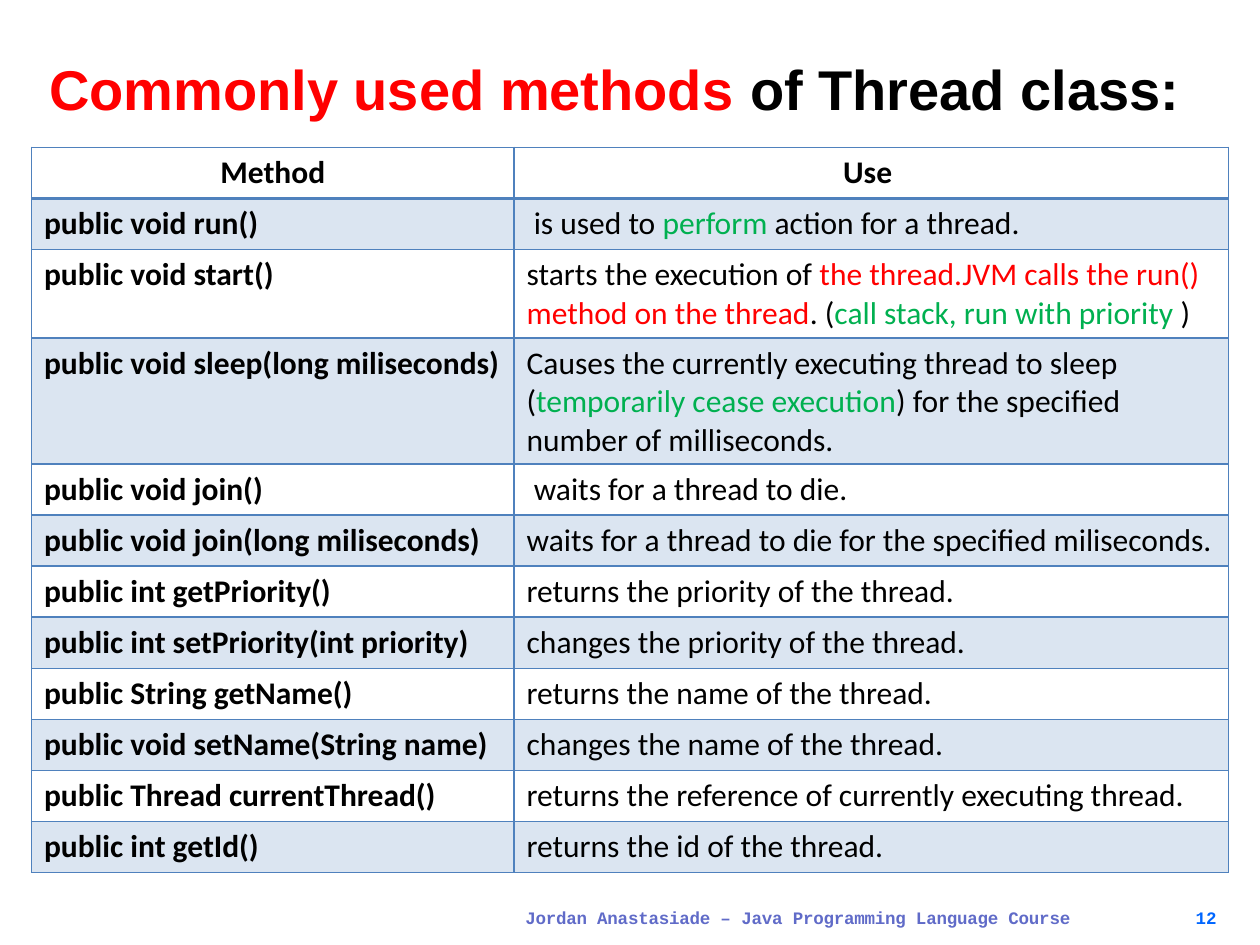
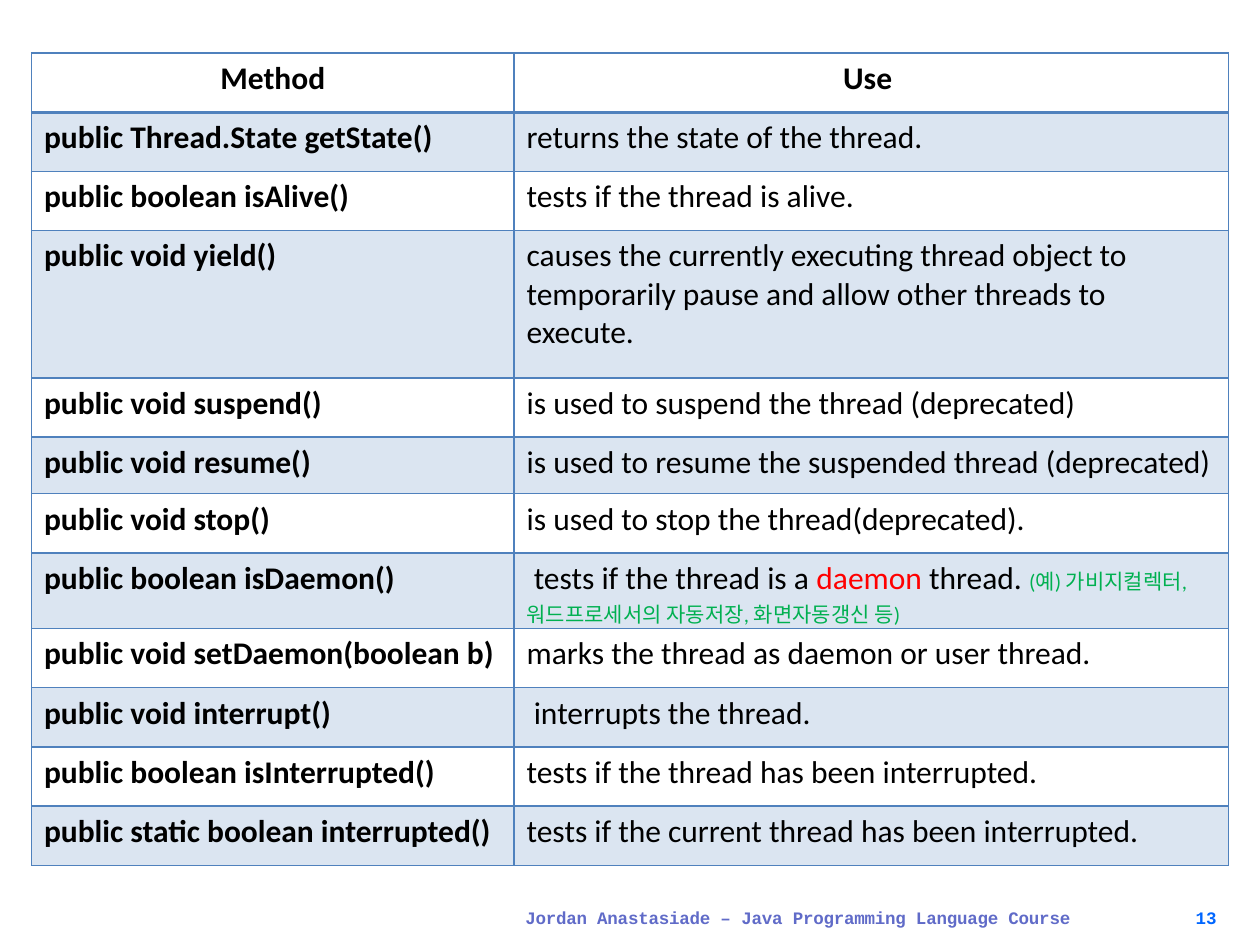
import pptx
import pptx.dml.color
import pptx.enum.text
import pptx.oxml
import pptx.oxml.ns
import pptx.util
from dataclasses import dataclass
from typing import Sequence

Inches = pptx.util.Inches
Pt = pptx.util.Pt

BLACK = "000000"
RED = "FF0000"
GREEN = "00B050"
TABLE_BLUE = "4F81BD"
FOOTER_PURPLE = "606BC8"
NUMBER_BLUE = "0066FF"
BAND_ALPHA = 20000
COLUMN_WIDTHS = (3.83, 5.67)
TABLE_LEFT = 0.25


@dataclass(frozen=True)
class Span:
    text: str
    color: str = BLACK
    size: float = 18
    bold: bool = False
    font: str = "Calibri"
    spacing: float = 0


@dataclass(frozen=True)
class Method:
    signature: str
    use: tuple[Span, ...]


@dataclass(frozen=True)
class MethodTable:
    top: float
    row_heights: Sequence[float]
    methods: Sequence[Method]


def method(signature: str, *use: str | Span) -> Method:
    spans = tuple(Span(part) if isinstance(part, str) else part for part in use)
    return Method(signature, spans)


def rgb(color: str) -> pptx.dml.color.RGBColor:
    return pptx.dml.color.RGBColor.from_string(color)


def write(paragraph, spans: Sequence[Span]) -> None:
    for span in spans:
        run = paragraph.add_run()
        run.text = span.text
        run.font.name = span.font
        run.font.size = Pt(span.size)
        run.font.bold = span.bold
        run.font.color.rgb = rgb(span.color)
        if span.spacing:
            run._r.get_or_add_rPr().set("spc", str(round(span.spacing * 100)))


def add_text(slide, left: float, top: float, width: float, height: float,
             spans: Sequence[Span], inset_left: float = 0, inset_top: float = 0):
    frame = slide.shapes.add_textbox(
        Inches(left), Inches(top), Inches(width), Inches(height)).text_frame
    frame.word_wrap = True
    frame.margin_left, frame.margin_top = Inches(inset_left), Inches(inset_top)
    frame.margin_right = frame.margin_bottom = 0
    paragraph = frame.paragraphs[0]
    write(paragraph, spans)
    return paragraph


def add_title(slide, spans: Sequence[Span]) -> None:
    add_text(slide, 0.39, 0.42, 9.36, 0.55, spans, inset_top=0.01)


def add_footer(slide, number: int) -> None:
    def footer_span(text: str, color: str = FOOTER_PURPLE, spacing: float = 0) -> Span:
        return Span(text, color, 10, True, "Courier New", spacing)

    credit = (
        footer_span("Jordan Anastasiade ", spacing=-0.1),
        footer_span("– "),
        footer_span("Java Programming Language Course", spacing=-0.1),
    )
    page = (footer_span(str(number), NUMBER_BLUE),)
    for left, width, spans, inset in ((4.16, 4.44, credit, 0.01), (9.46, 0.22, page, 0.03)):
        paragraph = add_text(slide, left, 7.21, width, 0.19, spans, inset_left=inset)
        paragraph.line_spacing = Pt(11.3)


def set_borders(cell, widths: dict[str, float]) -> None:
    namespace = pptx.oxml.ns.nsdecls("a")
    properties = cell._tc.get_or_add_tcPr()
    for position, (side, width) in enumerate(widths.items()):
        properties.insert(position, pptx.oxml.parse_xml(
            f'<a:ln{side} {namespace} w="{Pt(width)}"><a:solidFill>'
            f'<a:srgbClr val="{TABLE_BLUE}"/></a:solidFill></a:ln{side}>'))


def set_fill(cell, banded: bool) -> None:
    if not banded:
        cell.fill.background()
        return
    cell.fill.solid()
    cell.fill.fore_color.rgb = rgb(TABLE_BLUE)
    color = cell._tc.tcPr.find(".//" + pptx.oxml.ns.qn("a:solidFill"))[0]
    color.append(pptx.oxml.parse_xml(
        f'<a:alpha {pptx.oxml.ns.nsdecls("a")} val="{BAND_ALPHA}"/>'))


def add_method_table(slide, content: MethodTable) -> None:
    rows = [(Span("Method", bold=True),), (Span("Use ", bold=True),)], *(
        [(Span(entry.signature, bold=True),), entry.use] for entry in content.methods)
    table = slide.shapes.add_table(
        len(rows), len(COLUMN_WIDTHS), Inches(TABLE_LEFT), Inches(content.top),
        Inches(sum(COLUMN_WIDTHS)), Inches(sum(content.row_heights))).table
    table.horz_banding = False
    for column, width in zip(table.columns, COLUMN_WIDTHS):
        column.width = Inches(width)
    for row_index, (row, height) in enumerate(zip(rows, content.row_heights)):
        table.rows[row_index].height = Inches(height)
        for column_index, spans in enumerate(row):
            cell = table.cell(row_index, column_index)
            paragraph = cell.text_frame.paragraphs[0]
            write(paragraph, spans)
            if row_index == 0:
                paragraph.alignment = pptx.enum.text.PP_ALIGN.CENTER
            set_fill(cell, row_index % 2 == 1)
            set_borders(cell, {"L": 1, "R": 1, "T": 2 if row_index == 1 else 1,
                               "B": 2 if row_index == 0 else 1})


COMMON_METHODS = MethodTable(1.17, [4.87 / 12] * 12, (
    method("public void run()", "\u00a0is used to ", Span("perform", GREEN),
           " action for a thread."),
    method("public void start()", "starts the execution of ",
           Span("the thread.JVM calls the run() method on the thread", RED),
           ". (", Span("call stack, run with priority ", GREEN), ")"),
    method("public void sleep(long miliseconds)",
           "Causes the currently executing thread to sleep (",
           Span("temporarily cease execution", GREEN),
           ") for the specified number of milliseconds."),
    method("public void join()", "\u00a0waits for a thread to die."),
    method("public void join(long miliseconds)",
           "waits for a thread to die for the specified miliseconds."),
    method("public int getPriority()", "returns the priority of the thread."),
    method("public int setPriority(int priority)", "changes the priority of the thread."),
    method("public String getName()", "returns the name of the thread."),
    method("public void setName(String name)", "changes the name of the thread."),
    method("public Thread currentThread()",
           "returns the reference of currently executing thread."),
    method("public int getId()", "returns the id of the thread."),
))

STATE_METHODS = MethodTable(0.42, [0.47] * 3 + [1.17, 0.47, 0.45] + [0.47] * 6, (
    method("public Thread.State getState()", "returns the state of the thread."),
    method("public boolean isAlive()", "tests if the thread is alive."),
    method("public void yield()",
           "causes the currently executing thread object to temporarily pause "
           "and allow other threads to execute."),
    method("public void suspend()", "is used to suspend the thread (deprecated)"),
    method("public void resume()", "is used to resume the suspended thread (deprecated)"),
    method("public void stop()", "is used to stop the thread(deprecated)."),
    method("public boolean isDaemon()", "\u00a0tests if the thread is a ",
           Span("daemon", RED), " thread. ",
           Span("(예) 가비지컬렉터, 워드프로세서의 자동저장, 화면자동갱신 등)", GREEN, 12)),
    method("public void setDaemon(boolean b)", "marks the thread as daemon or user thread."),
    method("public void interrupt()", "\u00a0interrupts the thread."),
    method("public boolean isInterrupted()", "tests if the thread has been interrupted."),
    method("public static boolean interrupted()",
           "tests if the current thread has been interrupted."),
))

TITLE = (
    Span("Commonly used methods ", RED, 32, True, "Arial"),
    Span("of Thread class:", BLACK, 32, True, "Arial"),
)


def main() -> None:
    presentation = pptx.Presentation()
    presentation.slide_width = Inches(10)
    presentation.slide_height = Inches(7.5)
    blank_layout = presentation.slide_layouts[6]
    for number, title, content in ((12, TITLE, COMMON_METHODS), (13, (), STATE_METHODS)):
        slide = presentation.slides.add_slide(blank_layout)
        add_footer(slide, number)
        if title:
            add_title(slide, title)
        add_method_table(slide, content)
    presentation.save("out.pptx")


main()
